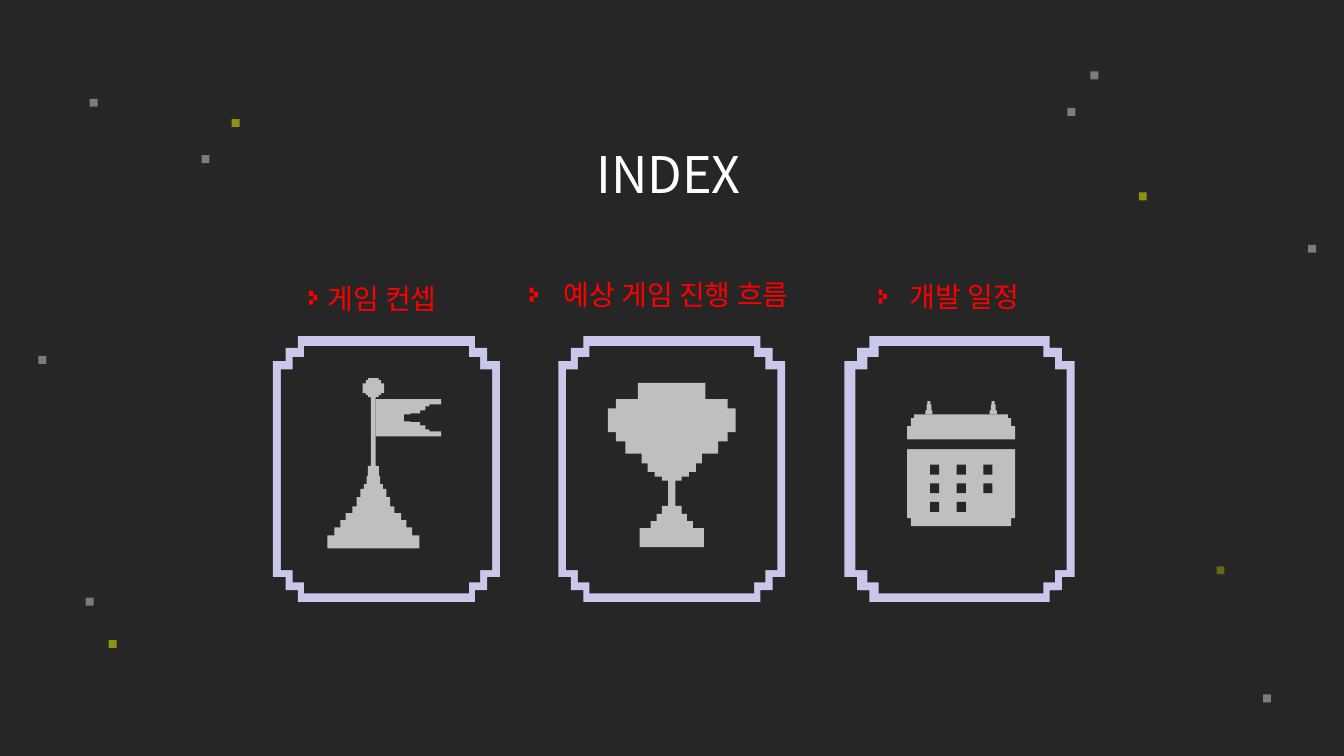
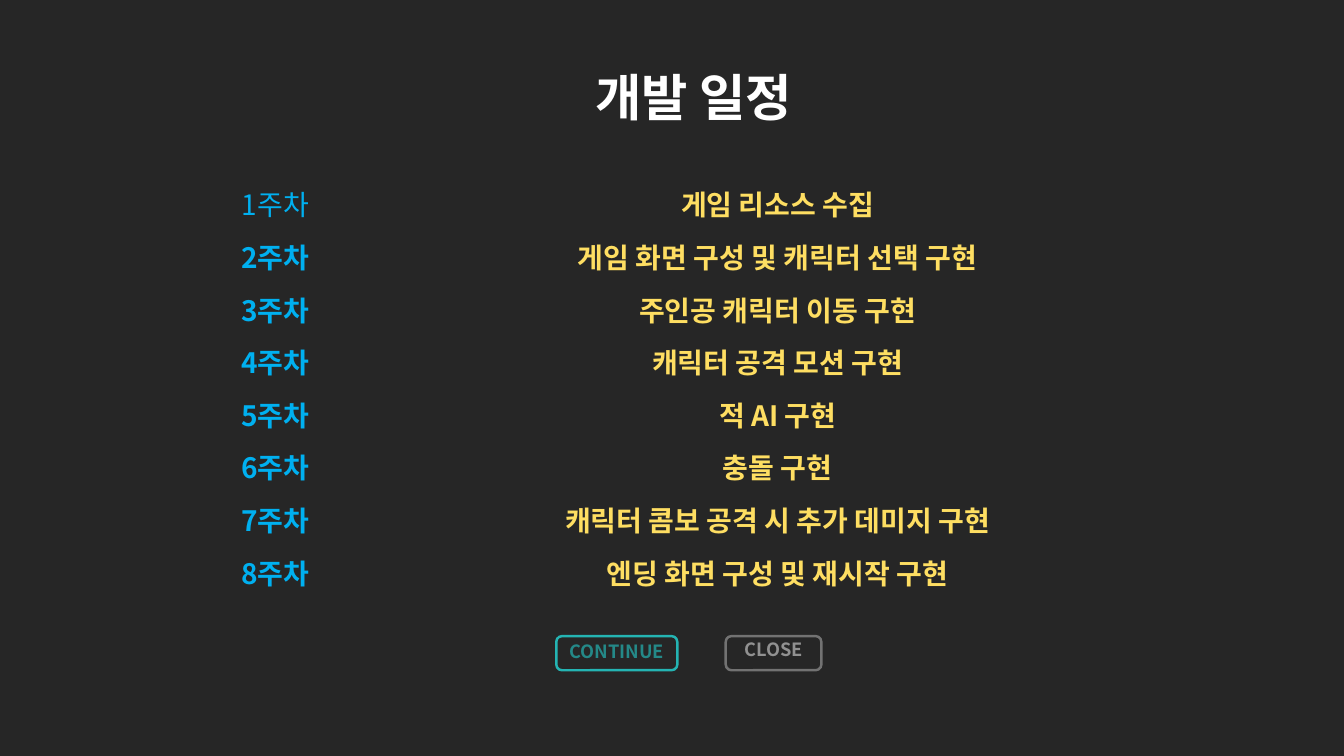
from lxml import etree
from pptx import Presentation
from pptx.dml.color import RGBColor
from pptx.enum.shapes import MSO_SHAPE
from pptx.enum.text import MSO_ANCHOR, MSO_AUTO_SIZE, PP_ALIGN
from pptx.oxml.ns import qn
from pptx.util import Cm, Pt

RECT, ROUND = MSO_SHAPE.RECTANGLE, MSO_SHAPE.ROUNDED_RECTANGLE
LEFT, CENTER = PP_ALIGN.LEFT, PP_ALIGN.CENTER
TOP, MIDDLE = MSO_ANCHOR.TOP, MSO_ANCHOR.MIDDLE
NO_FIT = MSO_AUTO_SIZE.NONE
FONT = "Noto Sans CJK KR"
PLAIN_TABLE = "{2D5ABB26-0587-4C30-8999-92F81FD0307C}"
COLORS = {
    "bg": "262626", "white": "FFFFFF", "yellow": "FFFF00", "frame": "C9C8EA",
    "gray": "BFBFBF", "red": "FF0000", "week": "00B0F0", "task": "FEDE62",
    "teal": "24B4B3",
}

FRAME = [(2.23, 0.3), (2.54, 0.63), (2.86, 6.07), (2.54, 6.4), (2.23, 6.7)]
FRAME_TOP = 8.47
INNER_SCALE = 0.93
CUP = [
    (0.85, 0.41), (1.41, 0.64), (1.61, 1.24), (1.41, 1.47), (1.17, 1.78),
    (0.76, 2.03), (0.61, 2.24), (0.43, 2.36), (0.25, 2.46), (0.09, 3.1),
    (0.25, 3.3), (0.38, 3.48), (0.53, 3.66), (0.81, 4.14),
]
PEAK = [
    (0.13, 0.05), (0.19, 0.13), (0.27, 0.38), (0.19, 0.43), (0.13, 0.48),
    (0.06, 2.21), (0.14, 2.46), (0.17, 2.67), (0.24, 2.79), (0.33, 3.0),
    (0.42, 3.23), (0.53, 3.4), (0.7, 3.58), (0.83, 3.76), (0.98, 3.96),
    (1.16, 4.29),
]
PENNANT = [
    (0.06, 0.47), (1.71, 0.47), (1.71, 0.34), (1.41, 0.34), (1.41, 0.29),
    (1.31, 0.29), (1.31, 0.19), (1.18, 0.19), (1.18, 0.11), (0.93, 0.11),
    (0.93, 0.09), (0.77, 0.09),
]
CALENDAR = [(1.18, 0.1), (1.26, 0.3), (1.36, 2.62), (1.26, 2.82)]
RING = [(0.04, 0.08), (0.06, 0.23), (0.09, 0.33)]

STARS = [
    ("white", 40, [(5.08, 3.91), (27.48, 1.8), (26.9, 2.72), (2.16, 15.06),
                   (31.83, 17.5), (2.26, 2.49), (0.97, 8.97), (32.97, 6.17)]),
    ("yellow", 50, [(5.84, 3.0), (28.7, 4.85), (2.74, 16.13)]),
    ("yellow", 30, [(30.66, 14.27)]),
]
LABELS = [
    ("게임 컨셉", 8.0, 6.96, 3.61, 0.1, LEFT),
    ("예상 게임 진행 흐름", 13.56, 6.88, 6.96, 0.1, CENTER),
    ("개발 일정", 22.5, 6.93, 3.61, 0.25, CENTER),
]
TASKS = [
    "게임 리소스 수집", "게임 화면 구성 및 캐릭터 선택 구현",
    "주인공 캐릭터 이동 구현", "캐릭터 공격 모션 구현", "적 AI 구현",
    "충돌 구현", "캐릭터 콤보 공격 시 추가 데미지 구현",
    "엔딩 화면 구성 및 재시작 구현",
]


def rgb(name):
    return RGBColor.from_string(COLORS[name])


def fade(element, percent):
    for clr in element.iter(qn("a:srgbClr")):
        etree.SubElement(clr, qn("a:alpha")).set("val", str(percent * 1000))


def write(tf, text, size, color, bold=False, align=CENTER):
    p = tf.paragraphs[0]
    p.text = text
    p.alignment = align
    f = p.font
    f.size, f.bold, f.name = Pt(size), bold, FONT
    f.color.rgb = rgb(color)
    def_rpr = p._p.pPr.find(qn("a:defRPr"))
    etree.SubElement(def_rpr, qn("a:ea")).set("typeface", FONT)
    return p


def paint(sp, color):
    sp.shadow.inherit = False
    sp.fill.solid()
    sp.fill.fore_color.rgb = rgb(color)
    sp.line.fill.background()


def add_rect(s, x, y, w, h, color):
    sp = s.shapes.add_shape(RECT, Cm(x), Cm(y), Cm(w), Cm(h))
    paint(sp, color)
    return sp


def add_outline(s, points, color):
    pts = [(Cm(x), Cm(y)) for x, y in points]
    builder = s.shapes.build_freeform(*pts[0])
    builder.add_line_segments(pts[1:], close=True)
    paint(builder.convert_to_shape(), color)


def add_steps(s, cx, top, rows, color, scale=1):
    right, y = [], 0
    for half, bottom in rows:
        right += [(half, y), (half, bottom)]
        y = bottom
    sides = right + [(-x, y) for x, y in reversed(right)]
    add_outline(s, [(cx + x * scale, top + y * scale) for x, y in sides], color)


def add_title(s, text, x, y, w, bold):
    sp = s.shapes.title
    sp.left, sp.top, sp.width, sp.height = Cm(x), Cm(y), Cm(w), Cm(1.8)
    tf = sp.text_frame
    tf.auto_size, tf.vertical_anchor, tf.word_wrap = NO_FIT, TOP, True
    write(tf, text, 36, "white", bold)


def add_stars(s):
    for color, alpha, places in STARS:
        for x, y in places:
            fade(add_rect(s, x, y, 0.2, 0.2, color)._element, alpha)


def add_frame(s, cx, top):
    add_steps(s, cx, top, FRAME, "frame")
    add_steps(s, cx, top + 0.25, FRAME, "bg", INNER_SCALE)


def add_flag(s, cx, top):
    pole, mid = cx - 0.33, top + 2.06
    add_steps(s, pole, top + 1.06, PEAK, "gray")
    points = [(pole + x, mid - y) for x, y in PENNANT]
    points += [(pole + x, mid + y) for x, y in reversed(PENNANT)]
    add_outline(s, points, "gray")


def add_cup(s, cx, top):
    add_steps(s, cx, top + 1.18, CUP, "gray")


def add_calendar(s, cx, top):
    for dx in (-0.81, 0.81):
        add_steps(s, cx + dx, top + 1.64, RING, "gray")
    add_steps(s, cx, top + 1.97, CALENDAR, "gray")
    add_rect(s, cx - 1.48, top + 2.6, 2.95, 0.25, "bg")
    for i in range(8):
        row, col = divmod(i, 3)
        add_rect(s, cx - 0.78 + col * 0.67, top + 3.24 + row * 0.47, 0.23, 0.25, "bg")


def add_label(s, text, x, y, w, gap, align):
    tb = s.shapes.add_textbox(Cm(x), Cm(y), Cm(w), Cm(1.12))
    tb.text_frame.word_wrap = True
    write(tb.text_frame, text, 20, "red", align=align)
    for dx, dy in ((0, 0), (-0.11, -0.11), (-0.11, 0.11)):
        add_rect(s, x - gap + dx, y + 0.48 + dy, 0.1, 0.13, "red")


def add_schedule(s, x, y, w, h):
    table = s.shapes.add_table(len(TASKS), 2, Cm(x), Cm(y), Cm(w), Cm(h)).table
    table.first_row = table.horz_banding = False
    table._tbl.tblPr.find(qn("a:tableStyleId")).text = PLAIN_TABLE
    table.columns[0].width, table.columns[1].width = Cm(w / 6), Cm(w * 5 / 6)
    for i, task in enumerate(TASKS):
        entries = ((f"{i + 1}주차", "week", i > 0), (task, "task", True))
        for j, (text, color, bold) in enumerate(entries):
            cell = table.cell(i, j)
            cell.fill.background()
            cell.vertical_anchor = MIDDLE
            cell.margin_left = cell.margin_right = Cm(0.3)
            cell.margin_top = cell.margin_bottom = Cm(0.15)
            write(cell.text_frame, text, 20, color, bold)


def add_button(s, text, x, y, w, color, line_alpha, lift):
    sp = s.shapes.add_shape(ROUND, Cm(x), Cm(y), Cm(w), Cm(0.86))
    sp.shadow.inherit = False
    sp.fill.background()
    sp.line.color.rgb = rgb(color)
    sp.line.width = Pt(1.75)
    fade(sp._element.spPr, line_alpha)
    tf = sp.text_frame
    tf.margin_left = tf.margin_right = tf.margin_top = 0
    tf.margin_bottom = Cm(lift)
    tf.vertical_anchor = MIDDLE
    fade(write(tf, text, 13, color, True)._p, 70)


def index_slide(prs):
    s = prs.slides.add_slide(prs.slide_layouts[5])
    add_title(s, "INDEX", 9.47, 3.48, 14.76, False)
    add_stars(s)
    add_steps(s, 24.14, FRAME_TOP, FRAME, "frame")
    for cx, icon in ((9.74, add_flag), (16.93, add_cup), (24.22, add_calendar)):
        add_frame(s, cx, FRAME_TOP)
        icon(s, cx, FRAME_TOP)
    for label in LABELS:
        add_label(s, *label)


def schedule_slide(prs):
    s = prs.slides.add_slide(prs.slide_layouts[5])
    add_title(s, "개발 일정", 14.43, 1.55, 6.1, True)
    add_schedule(s, 4.83, 4.47, 25.32, 10.14)
    add_button(s, "CONTINUE", 14.02, 16.03, 3.05, "teal", 100, 0.1)
    add_button(s, "CLOSE", 18.29, 16.03, 2.41, "gray", 50, 0.2)


def main():
    prs = Presentation()
    prs.slide_width, prs.slide_height = Cm(33.87), Cm(19.05)
    fill = prs.slide_master.background.fill
    fill.solid()
    fill.fore_color.rgb = rgb("bg")
    index_slide(prs)
    schedule_slide(prs)
    prs.save("out.pptx")


if __name__ == "__main__":
    main()
